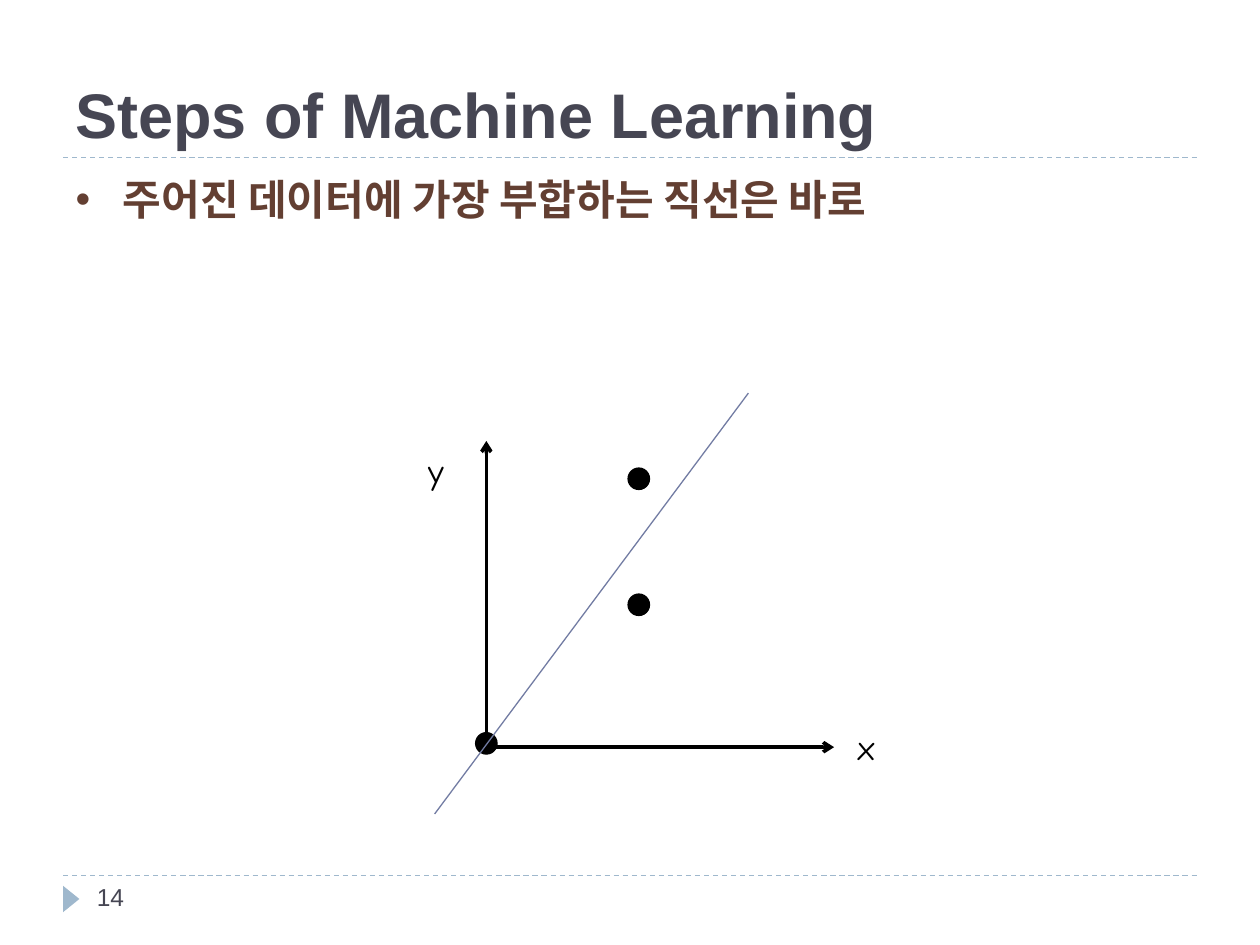
from lxml import etree
from pptx import Presentation
from pptx.dml.color import RGBColor
from pptx.enum import dml, shapes, text
from pptx.oxml.ns import qn
from pptx.util import Inches, Pt

INK, BROWN, BLACK = "464653", "633F32", "000000"
PALE_BLUE, INDIGO = "9FB8CD", "727CA3"


def color(value):
    return RGBColor.from_string(value)


def place(shape, left, top, width, height):
    shape.left, shape.top = Inches(left), Inches(top)
    shape.width, shape.height = Inches(width), Inches(height)


def write(shape, wording, size, fill, font="Arial", bold=False, wrap=True):
    frame = shape.text_frame
    frame.word_wrap = wrap
    frame.text = wording
    paragraph = frame.paragraphs[0]
    paragraph.font.name, paragraph.font.size = font, Pt(size)
    paragraph.font.bold = bold
    paragraph.font.color.rgb = color(fill)
    return paragraph


def add_label(slide, box, wording, size, fill, font="Arial", wrap=True):
    label = slide.shapes.add_textbox(*map(Inches, box))
    write(label, wording, size, fill, font, wrap=wrap)


def add_line(slide, start, end, fill, width=0.75, dashed=False, arrow=False):
    line = slide.shapes.add_connector(
        shapes.MSO_CONNECTOR.STRAIGHT, *map(Inches, (*start, *end)))
    line.line.color.rgb = color(fill)
    line.line.width = Pt(width)
    if dashed:
        line.line.dash_style = dml.MSO_LINE.DASH
    if arrow:
        etree.SubElement(line.line._get_or_add_ln(), qn("a:tailEnd"), type="arrow")
    etree.SubElement(line._element.spPr, qn("a:effectLst"))


def add_solid(slide, kind, box, fill):
    shape = slide.shapes.add_shape(kind, *map(Inches, box))
    shape.shadow.inherit = False
    shape.fill.solid()
    shape.fill.fore_color.rgb = color(fill)
    return shape


def add_bullet(paragraph, character, fill, percent, indent):
    properties = paragraph._p.get_or_add_pPr()
    properties.set("marL", str(Inches(indent)))
    properties.set("indent", str(-Inches(indent)))
    bullet_color = etree.SubElement(properties, qn("a:buClr"))
    etree.SubElement(bullet_color, qn("a:srgbClr"), val=fill)
    etree.SubElement(properties, qn("a:buSzPct"), val=str(percent * 1000))
    etree.SubElement(properties, qn("a:buFont"), typeface="Arial")
    etree.SubElement(properties, qn("a:buChar"), char=character)


def add_title(slide, left, top, width, height):
    title = slide.shapes.title
    place(title, left, top, width, height)
    title.text_frame.auto_size = text.MSO_AUTO_SIZE.NONE
    title.text_frame.vertical_anchor = text.MSO_ANCHOR.BOTTOM
    paragraph = write(title, "Steps of Machine Learning", 36, INK, bold=True)
    paragraph.alignment = text.PP_ALIGN.LEFT
    bottom = top + height
    add_line(slide, (left, bottom), (left + width, bottom), PALE_BLUE, dashed=True)


def add_body(slide, left, top, width, height):
    body = slide.placeholders[1]
    place(body, left, top, width, height)
    frame = body.text_frame
    frame.auto_size = text.MSO_AUTO_SIZE.NONE
    paragraph = frame.paragraphs[0]
    paragraph.space_before = Pt(0)
    add_bullet(paragraph, "▶", INDIGO, 76, 0.3)
    write(body, "주어진 데이터에 가장 부합하는 직선은 바로", 24, BROWN, bold=True)


def add_footer(slide, left, top, width):
    add_line(slide, (left, top), (left + width, top), PALE_BLUE, dashed=True)
    marker = add_solid(slide, shapes.MSO_SHAPE.ISOSCELES_TRIANGLE,
                       (left - 0.04, top + 0.12, 0.21, 0.13), PALE_BLUE)
    marker.rotation = 90
    marker.line.fill.background()
    add_label(slide, (left + 0.17, top, 2.17, 0.4), "14", 14, INK)


def add_plot(slide, left, bottom, width, height):
    """Draw axes from the lower left corner, three data points and a fitted line."""
    diameter = 0.17
    for across, up in ((0, 0.03), (1.21, 2.13), (1.21, 1.13)):
        box = (left + across - diameter / 2, bottom - up - diameter / 2,
               diameter, diameter)
        point = add_solid(slide, shapes.MSO_SHAPE.OVAL, box, BLACK)
        point.line.color.rgb = color(BLACK)
        point.line.width = Pt(0.75)
    origin = (left, bottom)
    for end in ((left + width, bottom), (left, bottom - height)):
        add_line(slide, origin, end, BLACK, width=2, arrow=True)
    for name, box in (("x", (left + width + 0.09, bottom - 0.22, 0.37, 0.44)),
                      ("y", (left - 0.56, bottom - height + 0.02, 0.35, 0.44))):
        add_label(slide, box, name, 20, BLACK, "Comic Neue", wrap=False)
    add_line(slide, (left - 0.41, bottom + 0.53),
             (left + 2.08, bottom - 2.81), INDIGO)


def main():
    presentation = Presentation()
    presentation.slide_width, presentation.slide_height = Inches(10), Inches(7.5)
    slide = presentation.slides.add_slide(presentation.slide_layouts[1])
    add_title(slide, 0.5, 0.17, 9, 1.08)
    add_body(slide, 0.5, 1.33, 9, 5.4)
    add_footer(slide, 0.5, 6.95, 9)
    add_plot(slide, 3.86, 5.93, 2.76, 2.43)
    presentation.save("out.pptx")


if __name__ == "__main__":
    main()
